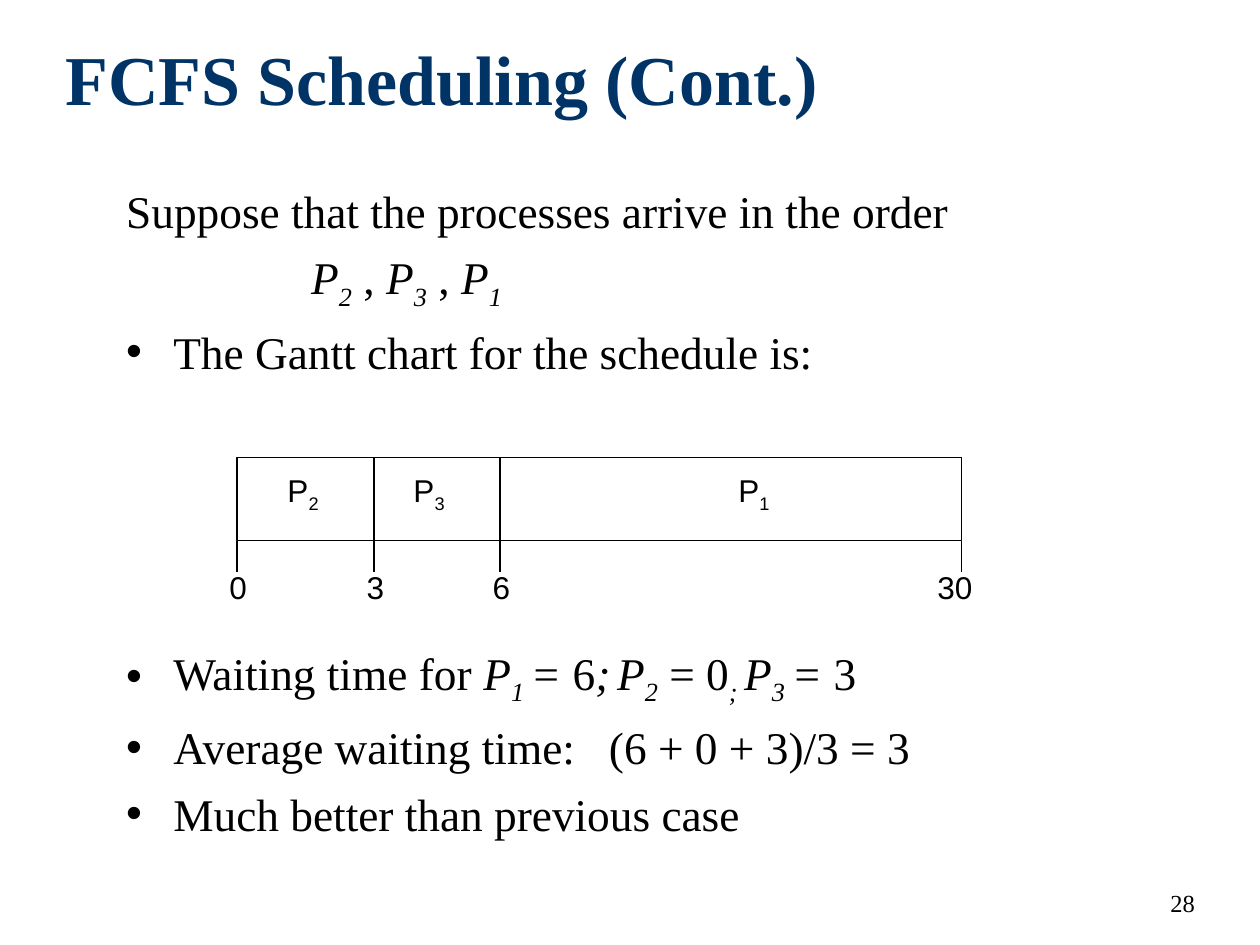
import pptx
import pptx.dml.color
import pptx.enum.shapes
import pptx.enum.text
import pptx.oxml.ns
import pptx.util
from lxml import etree
from pptx.util import Cm, Pt

COLORS = {"title": "003366", "text": "000000", "line": "000000", "box": "FFFFFF"}
SERIF, SANS = "Times New Roman", "Arial"
ALIGN = pptx.enum.text.PP_ALIGN
ANCHOR = pptx.enum.text.MSO_ANCHOR

BAR_TOP, BAR_BOTTOM, TICK_BOTTOM = 9.22, 10.9, 11.53
# Time, position of its tick, centre of its label (cm)
TIMES = [("0", 4.78, 4.8), ("3", 7.54, 7.57), ("6", 10.08, 10.11), ("30", 19.38, 19.25)]
# Process number, centre of its label (cm)
PROCESSES = [("2", 6.11), ("3", 8.65), ("1", 15.2)]

# Runs are (text, style): i = italic, s = subscript
ORDER = [("P", "i"), ("2", "is"), (" , ", ""), ("P", "i"), ("3", "is"),
         (" , ", ""), ("P", "i"), ("1", "is")]
WAITING = [("Waiting time for ", ""), ("P", "i"), ("1 ", "is"), ("=", "i"), (" 6", ""),
           (";", "i"), (" ", "is"), ("P", "i"), ("2", "is"), (" = 0", ""),
           ("; ", "is"), ("P", "i"), ("3 ", "is"), ("= ", "i"), ("3", "")]
# Runs, left margin (cm), bulleted, space before (pt)
BODY = [
    ([("Suppose that the processes arrive in the order", "")], 0, False, 8.5),
    (ORDER, 3.73, False, 7),
    ([("The Gantt chart for the schedule is:", "")], 0.95, True, 7),
    (WAITING, 0.95, True, 152.5),
    ([("Average waiting time:   (6 + 0 + 3)/3 = 3", "")], 0.95, True, 7),
    ([("Much better than previous case", "")], 0.95, True, 7),
]


def rgb(name):
    return pptx.dml.color.RGBColor.from_string(COLORS[name])


def place(shape, left, top, width, height):
    shape.left, shape.top = Cm(left), Cm(top)
    shape.width, shape.height = Cm(width), Cm(height)


def write(paragraph, runs, font, size, color="text", align=ALIGN.LEFT):
    paragraph.alignment = align
    paragraph.font.name, paragraph.font.size = font, Pt(size)
    paragraph.font.color.rgb = rgb(color)
    for text, style in runs:
        run = paragraph.add_run()
        run.text = text
        if "i" in style:
            run.font.italic = True
        if "s" in style:
            run._r.get_or_add_rPr().set("baseline", "-25000")


def set_indent(paragraph, margin, bulleted):
    properties = paragraph._p.get_or_add_pPr()
    properties.set("marL", str(Cm(margin)))
    properties.set("indent", str(-Cm(margin) if bulleted else 0))
    tag = pptx.oxml.ns.qn("a:buChar" if bulleted else "a:buNone")
    bullet = etree.SubElement(properties, tag)
    if bulleted:
        bullet.set("char", "•")


def add_title(slide, text):
    title = slide.shapes.title
    place(title, 1.07, 0.84, 23.7, 1.7)
    title.text_frame.vertical_anchor = ANCHOR.BOTTOM
    heading = title.text_frame.paragraphs[0]
    write(heading, [(text, "")], SERIF, 40, "title")
    heading.font.bold = True


def add_body(slide):
    body = slide.placeholders[1]
    place(body, 2.29, 3.56, 21.72, 13.87)
    frame = body.text_frame
    for index, (runs, margin, bulleted, gap) in enumerate(BODY):
        paragraph = frame.add_paragraph() if index else frame.paragraphs[0]
        paragraph.space_before = Pt(gap)
        set_indent(paragraph, margin, bulleted)
        write(paragraph, runs, SERIF, 25.9)


def add_label(slide, runs, center, middle):
    """Put chart text centred on a point."""
    width, height = 1.8, 1.1
    label = slide.shapes.add_textbox(0, 0, 0, 0)
    place(label, center - width / 2, middle - height / 2, width, height)
    label.text_frame.word_wrap = False
    label.text_frame.vertical_anchor = ANCHOR.MIDDLE
    write(label.text_frame.paragraphs[0], runs, SANS, 18, align=ALIGN.CENTER)


def add_vertical(slide, x, top, bottom):
    line = slide.shapes.add_connector(
        pptx.enum.shapes.MSO_CONNECTOR.STRAIGHT, Cm(x), Cm(top), Cm(x), Cm(bottom))
    line.line.color.rgb = rgb("line")
    line.line.width = Pt(0.75)
    etree.SubElement(line._element.spPr, pptx.oxml.ns.qn("a:effectLst"))


def add_gantt(slide):
    start, end = TIMES[0][1], TIMES[-1][1]
    bar = slide.shapes.add_shape(
        pptx.enum.shapes.MSO_SHAPE.RECTANGLE, Cm(start), Cm(BAR_TOP),
        Cm(end - start), Cm(BAR_BOTTOM - BAR_TOP))
    bar.shadow.inherit = False
    bar.fill.solid()
    bar.fill.fore_color.rgb = rgb("box")
    bar.line.color.rgb = rgb("line")
    bar.line.width = Pt(0.75)
    for number, center in PROCESSES:
        add_label(slide, [("P", ""), (number, "s")], center, 9.93)
    for _, x, _ in TIMES[1:-1]:
        add_vertical(slide, x, BAR_TOP, BAR_BOTTOM)
    for time, x, center in TIMES:
        add_vertical(slide, x, BAR_BOTTOM, TICK_BOTTOM)
        add_label(slide, [(time, "")], center, 11.84)


def add_page_number(slide, number):
    page = slide.shapes.add_textbox(Cm(18.19), Cm(17.78), Cm(6.15), Cm(0.89))
    page.text_frame.word_wrap = True
    write(page.text_frame.paragraphs[0], [(number, "")], SERIF, 14, align=ALIGN.RIGHT)


def main():
    deck = pptx.Presentation()
    deck.slide_width, deck.slide_height = Cm(25.4), Cm(19.05)
    slide = deck.slides.add_slide(deck.slide_layouts[1])
    add_page_number(slide, "28")
    add_title(slide, "FCFS Scheduling (Cont.)")
    add_body(slide)
    add_gantt(slide)
    deck.save("out.pptx")


if __name__ == "__main__":
    main()
